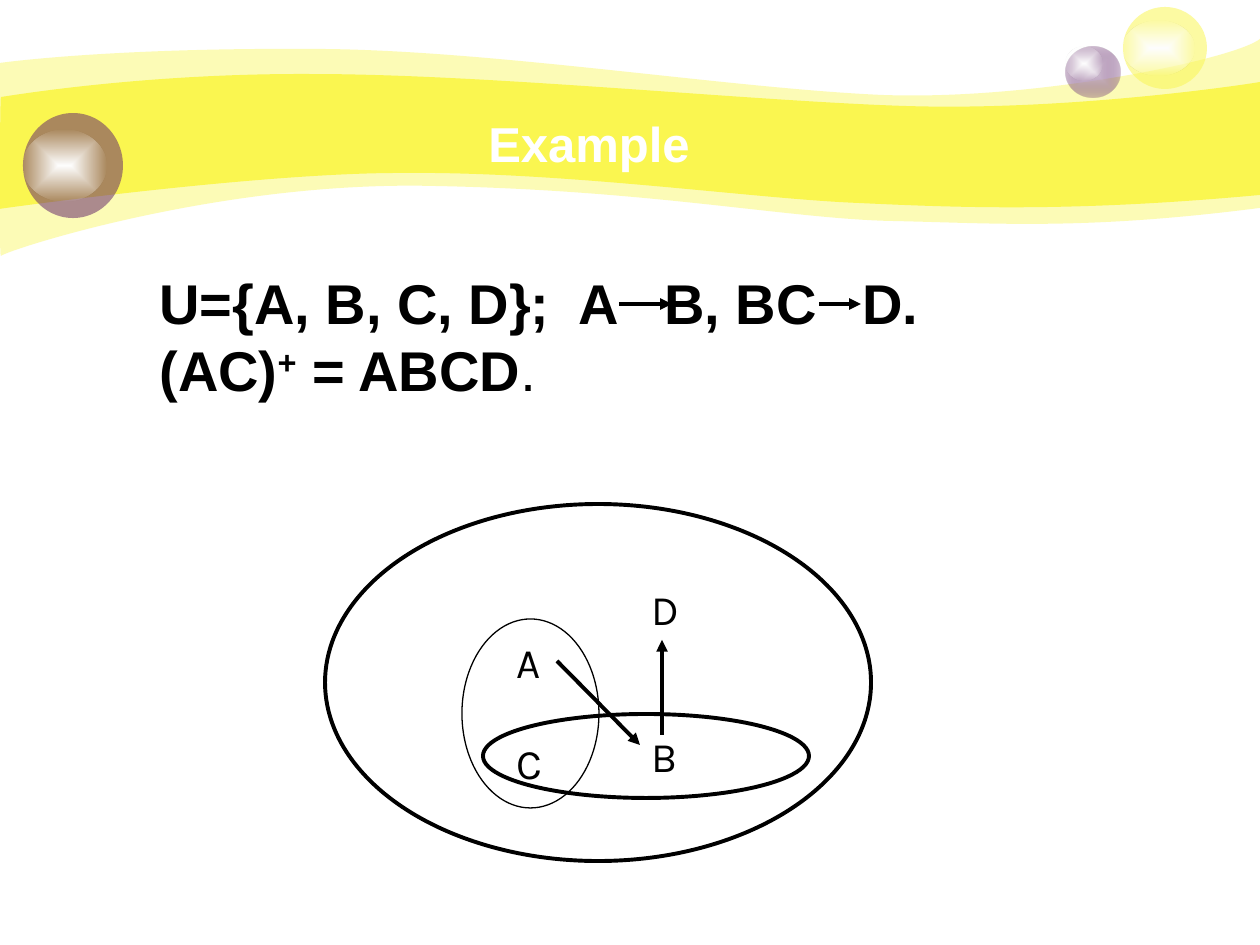
from lxml import etree
from pptx import Presentation
from pptx import util as u
from pptx.dml.color import RGBColor
from pptx.enum import shapes, text
from pptx.oxml import parse_xml
from pptx.oxml.ns import nsdecls, qn

SCALE = 914400 / 126  # EMU per px
COLORS = {"yellow": "FAF650", "purple": "632769", "lilac": "D7C8D9",
          "white": "FFFFFF", "black": "000000"}

# Waves: opacity, start point, then curves (six numbers) and straight lines (two)
WAVES = [
    (41, (0, 63), [(30, 59, 135, 48, 311, 49), (486, 49, 725, 88, 881, 95),
                   (1036, 101, 1235, 59, 1260, 39), (1260, 208),
                   (1081, 231, 992, 223, 888, 221), (784, 218, 649, 190, 432, 186),
                   (217, 181, 5, 251, 1, 256), (-1, 262, 0, 95, 0, 63)]),
    (100, (1, 97), [(3, 97, 139, 73, 312, 74), (487, 74, 750, 101, 905, 106),
                    (1060, 111, 1230, 87, 1260, 82), (1260, 195),
                    (1075, 212, 964, 208, 859, 203), (755, 199, 563, 171, 399, 173),
                    (256, 173, -3, 209, -1, 209), (0, 209, 0, 97, 1, 97)]),
]
# Spheres: box, fill stops (color, opacity), box of the highlight
SPHERES = [
    ((1066, 47, 54, 51), [("lilac", 100), ("purple", 31)], (1066, 47, 36, 34)),
    ((1123, 7, 84, 82), [("yellow", 53)], (1123, 21, 71, 54)),
    ((23, 113, 100, 105), [("purple", 53)], (23, 130, 83, 71)),
]
HIGHLIGHT = [("white", 100), ("white", 0)]

TITLE = ("Example", (52, 63, 1074, 116))
FORMULA_BOX = (147, 262, 1050, 147)
FORMULA_TABS = (419, 505, 703)
FORMULA = [  # paragraphs of (text, bold, superscript)
    [("U={A, B, C, D};\tA\tB, BC\tD.", True, False)],
    [("(AC)", True, False), ("+", True, True), (" = ABCD", True, False),
     (".", False, False)],
]
SETS = [((325, 504, 546, 357), 2.25), ((462, 619, 137, 189), 0.75),
        ((483, 714, 326, 84), 2.25)]
LABELS = [(("A", "C"), (504, 630, 53, 164)), (("D",), (639, 577, 55, 63)),
          (("B",), (639, 724, 52, 63))]
ARROWS = [(557, 661, 640, 745), (662, 735, 662, 640),
          (619, 304, 672, 304), (819, 304, 861, 304)]


def px(values):
    return [u.Emu(round(value * SCALE)) for value in values]


def rgb(name):
    return RGBColor.from_string(COLORS[name])


def color_xml(name, opacity):
    return (f'<a:srgbClr val="{COLORS[name]}">'
            f'<a:alpha val="{opacity * 1000}"/></a:srgbClr>')


def set_fill(shape, stops):
    """Fill with one translucent color, or a gradient out from the centre."""
    shape.shadow.inherit = False
    shape.line.fill.background()
    shape.fill.solid()
    if len(stops) == 1:
        fill = f'<a:solidFill {nsdecls("a")}>{color_xml(*stops[0])}</a:solidFill>'
    else:
        inner, outer = (color_xml(*stop) for stop in stops)
        fill = (f'<a:gradFill {nsdecls("a")} rotWithShape="1"><a:gsLst>'
                f'<a:gs pos="0">{inner}</a:gs><a:gs pos="100000">{outer}</a:gs>'
                '</a:gsLst><a:path path="rect"><a:fillToRect l="50000" t="50000" '
                'r="50000" b="50000"/></a:path></a:gradFill>')
    old = shape.element.spPr.find(qn("a:solidFill"))
    old.getparent().replace(old, parse_xml(fill))


def add_wave(slide, start, segments):
    """Outline through the end points, with its curved sides as cubic curves."""
    builder = slide.shapes.build_freeform(*px(start))
    builder.add_line_segments([px(segment[-2:]) for segment in segments], close=True)
    wave = builder.convert_to_shape()
    sides = list(wave.element.iter(qn("a:lnTo")))
    for side, segment in zip(sides, segments):
        if len(segment) == 6:
            curve = etree.Element(qn("a:cubicBezTo"))
            values = px(segment)
            for x, y in zip(values[::2], values[1::2]):
                etree.SubElement(curve, qn("a:pt"),
                                 x=str(x - wave.left), y=str(y - wave.top))
            side.getparent().replace(side, curve)
    return wave


def add_ellipse(slide, box):
    return slide.shapes.add_shape(shapes.MSO_SHAPE.OVAL, *px(box))


def format_run(run, font, size, color, bold=False):
    run.font.name, run.font.size, run.font.bold = font, u.Pt(size), bold
    run.font.color.rgb = rgb(color)


def add_decoration(slide):
    for opacity, start, segments in WAVES:
        set_fill(add_wave(slide, start, segments), [("yellow", opacity)])
    for box, stops, highlight_box in SPHERES:
        set_fill(add_ellipse(slide, box), stops)
        set_fill(add_ellipse(slide, highlight_box), HIGHLIGHT)


def add_title(slide):
    title = slide.shapes.title
    words, box = TITLE
    title.left, title.top, title.width, title.height = px(box)
    frame = title.text_frame
    frame.text = words
    frame.vertical_anchor = text.MSO_ANCHOR.BOTTOM
    frame.paragraphs[0].alignment = text.PP_ALIGN.CENTER
    format_run(frame.paragraphs[0].runs[0], "Arial", 28, "white", True)
    title.element.getparent().append(title.element)  # in front of the waves


def add_formula(slide):
    frame = slide.shapes.add_textbox(*px(FORMULA_BOX)).text_frame
    frame.word_wrap = True
    frame.vertical_anchor = text.MSO_ANCHOR.MIDDLE
    for index, parts in enumerate(FORMULA):
        paragraph = frame.add_paragraph() if index else frame.paragraphs[0]
        for words, bold, superscript in parts:
            run = paragraph.add_run()
            run.text = words
            format_run(run, "Arial", 32, "black", bold)
            if superscript:
                run.font._element.set("baseline", "30000")
    # Tab stops leave room for the arrows
    tabs = etree.SubElement(frame.paragraphs[0]._p.get_or_add_pPr(), qn("a:tabLst"))
    for position in px(FORMULA_TABS):
        etree.SubElement(tabs, qn("a:tab"), pos=str(position), algn="l")


def add_diagram(slide):
    for box, width in SETS:
        ellipse = add_ellipse(slide, box)
        ellipse.shadow.inherit = False
        ellipse.fill.background()
        ellipse.line.color.rgb = rgb("black")
        ellipse.line.width = u.Pt(width)
    for letters, box in LABELS:
        frame = slide.shapes.add_textbox(*px(box)).text_frame
        frame.word_wrap = len(letters) > 1
        frame.text = "\n".join(letters)
        for index, paragraph in enumerate(frame.paragraphs):
            paragraph.space_before = u.Pt(29 * index)
            format_run(paragraph.runs[0], "Karla", 24, "black")


def add_arrows(slide):
    for ends in ARROWS:
        arrow = slide.shapes.add_connector(shapes.MSO_CONNECTOR.STRAIGHT, *px(ends))
        arrow.line.color.rgb = rgb("black")
        arrow.line.width = u.Pt(2.25)
        etree.SubElement(arrow.line._get_or_add_ln(), qn("a:tailEnd"), type="triangle")
        etree.SubElement(arrow.element.spPr, qn("a:effectLst"))


def main():
    presentation = Presentation()
    presentation.slide_width, presentation.slide_height = px((1260, 945))
    slide = presentation.slides.add_slide(presentation.slide_layouts[5])
    add_decoration(slide)
    add_title(slide)
    add_formula(slide)
    add_diagram(slide)
    add_arrows(slide)
    presentation.save("out.pptx")


if __name__ == "__main__":
    main()
